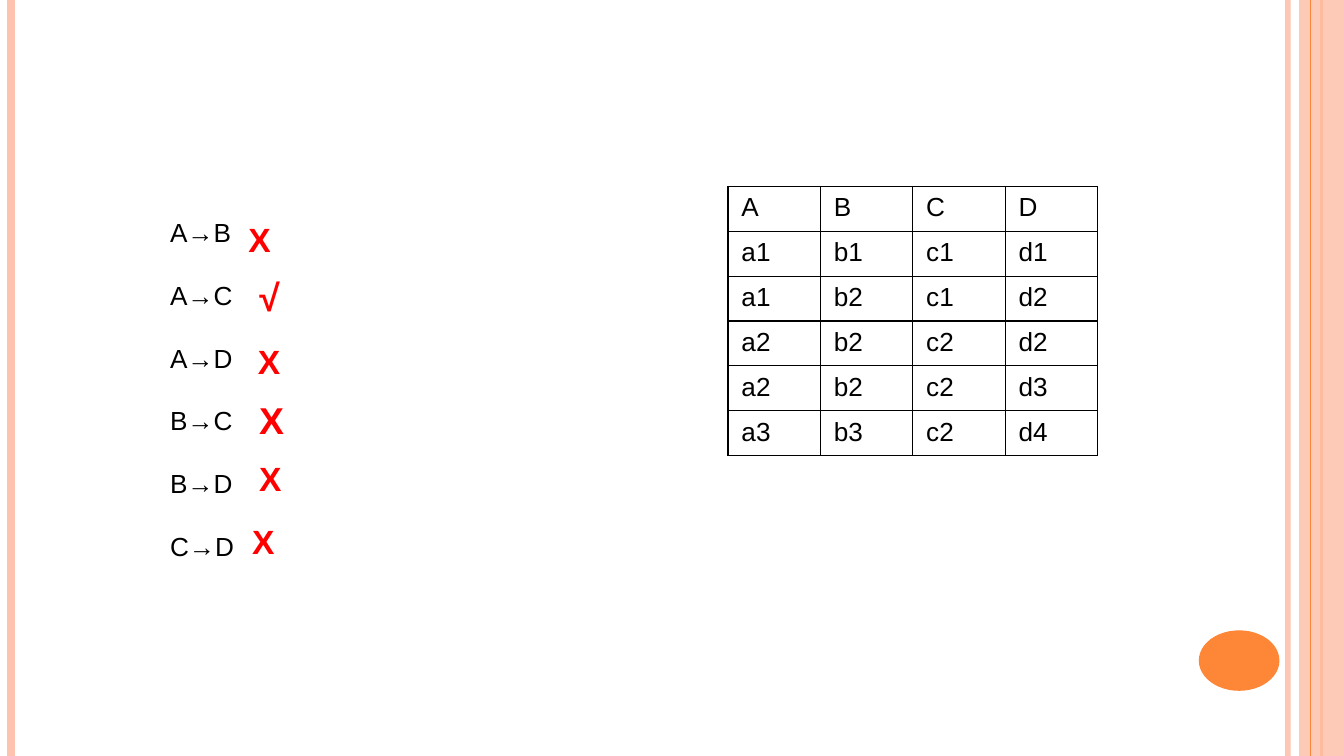
from lxml import etree
from pptx import Presentation
from pptx import util as u
from pptx.dml import color
from pptx.enum import shapes, text
from pptx.oxml import ns

SLIDE_WIDTH = u.Inches(10)
SLIDE_HEIGHT = SLIDE_WIDTH * 9 // 16
COLUMNS, ROWS = 100, 56.25
PEACH, ORANGE, RED, BLACK = "FEC3AE", "FE8637", "FF0000", "000000"
BODY = {"size": u.Pt(14), "name": "Arial", "bold": False}


def rgb(value):
    return color.RGBColor.from_string(value)


def across(columns):
    return round(SLIDE_WIDTH * columns / COLUMNS)


def down(rows):
    return round(SLIDE_HEIGHT * rows / ROWS)


def place(box):
    left, top, width, height = box
    return across(left), down(top), across(width), down(height)


def set_values(target, values):
    for name, value in values.items():
        setattr(target, name, value)


def set_font(paragraph, values, colour):
    set_values(paragraph.font, values)
    paragraph.font.color.rgb = rgb(colour)


def set_opacity(fill_parent, percent):
    for colour in fill_parent.iter(ns.qn("a:srgbClr")):
        etree.SubElement(colour, ns.qn("a:alpha"), val=str(percent * 1000))


def add_stripe(slide, column, box, colour, points, opacity=100):
    left, top, width, height = box
    x = across(left + column)
    line = slide.shapes.add_connector(
        shapes.MSO_CONNECTOR.STRAIGHT, x, down(top), x, down(top + height))
    line.line.color.rgb = rgb(colour)
    line.line.width = u.Pt(points)
    properties = line._element.spPr
    if opacity < 100:
        set_opacity(properties, opacity)
    etree.SubElement(properties, ns.qn("a:effectLst"))


def add_plain_shape(slide, kind, box, colour):
    shape = slide.shapes.add_shape(kind, *place(box))
    shape.shadow.inherit = False
    shape.fill.solid()
    shape.fill.fore_color.rgb = rgb(colour)
    shape.line.fill.background()
    return shape


def add_frame(slide, box):
    left, top, width, height = box
    add_stripe(slide, 95.83, box, PEACH, 3, 93)
    add_stripe(slide, 0.83, box, PEACH, 4.5)
    add_stripe(slide, 98.33, box, ORANGE, 1.5)
    band = add_plain_shape(slide, shapes.MSO_SHAPE.RECTANGLE,
                           (left + 96.67, top, 3.33, height), PEACH)
    set_opacity(band._element.spPr, 87)
    add_stripe(slide, 97.5, box, ORANGE, 0.75)
    add_plain_shape(slide, shapes.MSO_SHAPE.OVAL,
                    (left + 89.2, top + 46.9, 6, 4.5), ORANGE)


def add_text(slide, box, lines, values, colour, gap=0):
    frame = slide.shapes.add_textbox(*place(box)).text_frame
    set_values(frame, {"word_wrap": True,
                       "auto_size": text.MSO_AUTO_SIZE.SHAPE_TO_FIT_TEXT})
    for index, line in enumerate(lines):
        paragraph = frame.paragraphs[0] if index == 0 else frame.add_paragraph()
        paragraph.text = line
        paragraph.space_before = u.Pt(gap if index else 0)
        set_font(paragraph, values, colour)


def add_dependencies(slide, box):
    left, top, width, height = box
    lines = ["A→B", "A→C", "A→D", "B→C", "B→D", "C→D"]
    add_text(slide, box, lines, BODY, BLACK, gap=16.85)
    marks = [
        ("Χ", 5.83, 0.2, 3.3, 18),
        ("√", 6.65, 4.3, 2.8, 20),
        ("Χ", 6.53, 9.25, 3.1, 18),
        ("X", 6.63, 13.5, 2.8, 20),
        ("Χ", 6.63, 18, 3.1, 18),
        ("Χ", 6.1, 22.7, 3.1, 18),
    ]
    for mark, column, row, mark_width, points in marks:
        mark_box = (left + column, top + row, mark_width, points * 0.22)
        values = {**BODY, "size": u.Pt(points), "bold": True}
        add_text(slide, mark_box, [mark], values, RED)


def add_borders(cell):
    properties = cell._tc.get_or_add_tcPr()
    for index, side in enumerate(("lnL", "lnR", "lnT", "lnB")):
        border = etree.Element(ns.qn(f"a:{side}"), w=str(u.Pt(0.75)))
        fill = etree.SubElement(border, ns.qn("a:solidFill"))
        etree.SubElement(fill, ns.qn("a:srgbClr"), val=BLACK)
        properties.insert(index, border)


def add_relation(slide, box):
    records = [line.split() for line in (
        "A B C D", "a1 b1 c1 d1", "a1 b2 c1 d2",
        "a2 b2 c2 d2", "a2 b2 c2 d3", "a3 b3 c2 d4")]
    table = slide.shapes.add_table(
        len(records), len(records[0]), *place(box)).table
    set_values(table, {"first_row": False, "horz_banding": False})
    for row, record in enumerate(records):
        for column, value in enumerate(record):
            cell = table.cell(row, column)
            cell.text = value
            cell.fill.background()
            set_font(cell.text_frame.paragraphs[0], BODY, BLACK)
            add_borders(cell)


def main():
    presentation = Presentation()
    set_values(presentation, {"slide_width": SLIDE_WIDTH,
                              "slide_height": SLIDE_HEIGHT})
    slide = presentation.slides.add_slide(presentation.slide_layouts[6])
    add_frame(slide, (0, 0, COLUMNS, ROWS))
    add_dependencies(slide, (11.67, 15.6, 8.3, 26.9))
    add_relation(slide, (54.17, 13.87, 27.5, 20))
    presentation.save("out.pptx")


if __name__ == "__main__":
    main()
